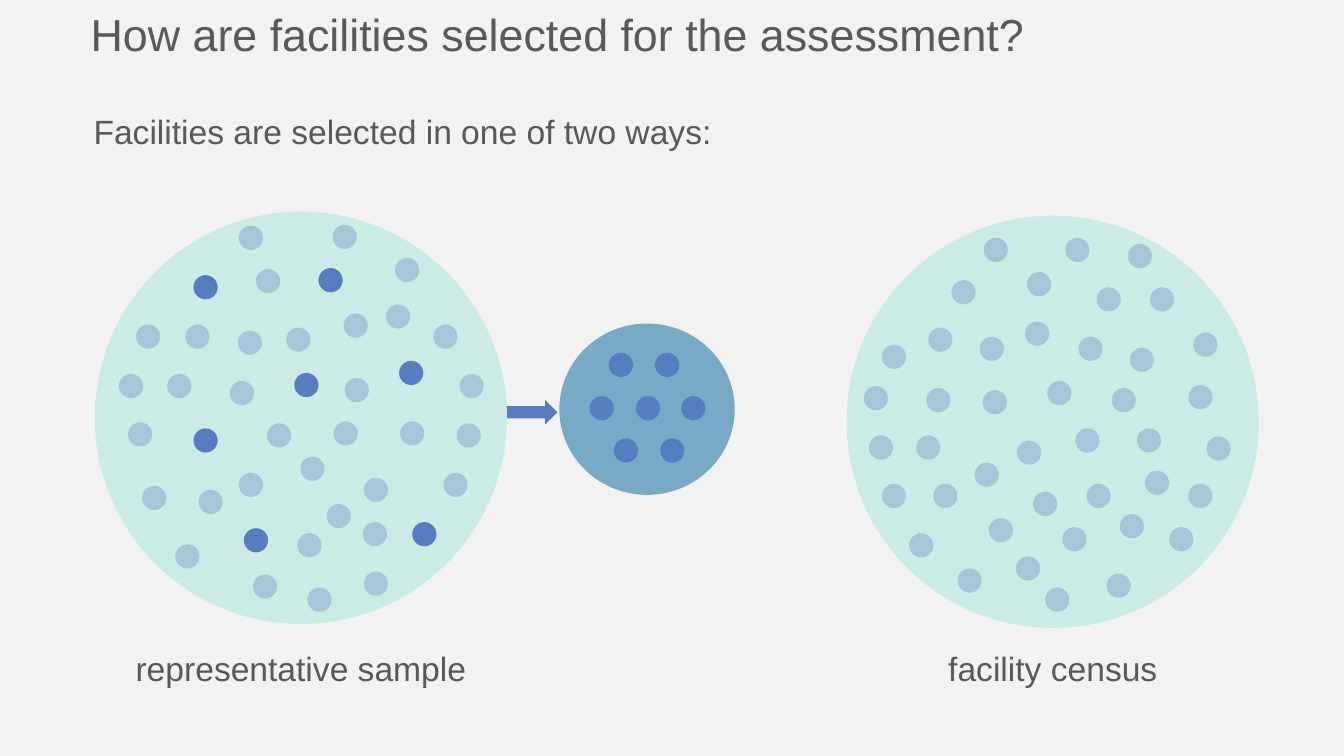
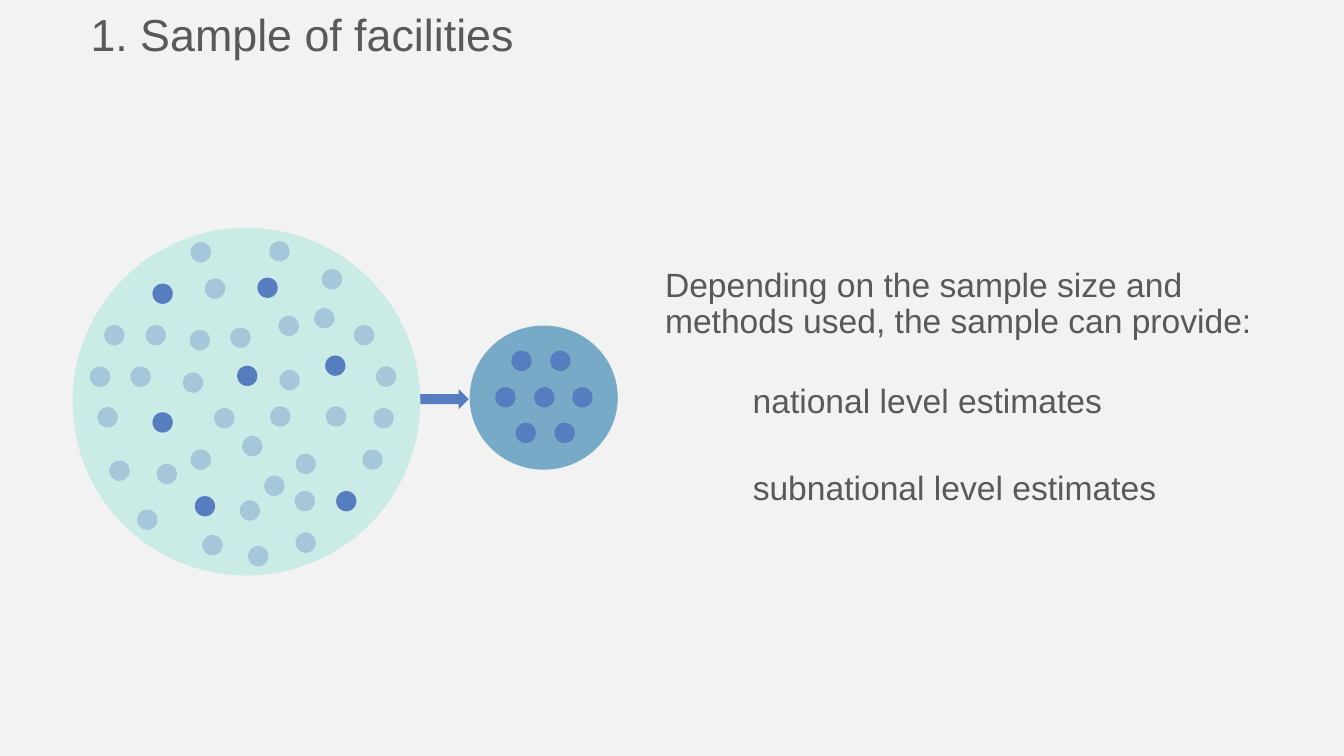
from pptx import Presentation
from pptx.dml.color import RGBColor
from pptx.enum.shapes import MSO_SHAPE
from pptx.enum.text import MSO_ANCHOR, PP_ALIGN
from pptx.util import Cm, Pt

OVAL, ARROW = MSO_SHAPE.OVAL, MSO_SHAPE.RIGHT_ARROW
TOP, MIDDLE = MSO_ANCHOR.TOP, MSO_ANCHOR.MIDDLE
LEFT, CENTER = PP_ALIGN.LEFT, PP_ALIGN.CENTER

COLORS = {
    "back": "F2F2F2",
    "text": "595959",
    "all": "CBEBE6",
    "sample": "77AAC6",
    "dot": "A6C7DA",
    "chosen": "557DBF",
}
STYLES = {
    "title": {"size": 32, "space": 1.0, "align": LEFT, "anchor": TOP},
    "body": {"size": 24, "space": 0.9, "align": LEFT, "anchor": TOP},
    "label": {"size": 24, "space": 0.9, "align": CENTER, "anchor": MIDDLE},
}

# Positions and sizes are in inches: (left, top) or (left, top, width, height).
DOT = 0.24
PLAIN = [
    (2.51, 5.7), (3.05, 5.83), (3.61, 5.67), (1.74, 5.4), (2.95, 5.29),
    (3.6, 5.18), (1.27, 4.19), (1.97, 4.86), (2.37, 4.69), (2.98, 4.53),
    (3.97, 4.18), (4.4, 4.69), (4.53, 4.2), (1.41, 4.82), (2.65, 4.2),
    (3.31, 4.18), (1.18, 3.71), (1.66, 3.71), (2.28, 3.78), (3.61, 4.74),
    (3.42, 3.75), (3.24, 5), (4.56, 3.71), (1.35, 3.22), (1.84, 3.22),
    (2.84, 3.25), (3.41, 3.11), (3.92, 2.56), (4.3, 3.22), (2.36, 3.28),
    (2.54, 2.67), (3.83, 3.02), (2.37, 2.24), (3.3, 2.23),
]
CHOSEN = [
    (2.42, 5.24), (4.09, 5.18), (1.92, 4.25), (3.96, 3.58), (2.92, 3.7),
    (1.92, 2.73), (3.16, 2.66),
]
SAMPLE = [
    (6.04, 3.5), (6.5, 3.5), (5.85, 3.93), (6.31, 3.93), (6.76, 3.93),
    (6.09, 4.35), (6.55, 4.35),
]
CENSUS = [
    (10.08, 5.52), (10.37, 5.83), (10.98, 5.69), (9.02, 5.29), (9.5, 5.64),
    (9.81, 5.14), (11.36, 4.67), (11.6, 5.23), (8.75, 4.8), (9.26, 4.8),
    (10.25, 4.88), (10.78, 4.8), (11.11, 5.1), (11.79, 4.8), (11.97, 4.33),
    (8.62, 4.32), (9.09, 4.32), (9.67, 4.59), (10.09, 4.37), (10.67, 4.25),
    (11.28, 4.25), (8.57, 3.83), (8.75, 3.42), (9.19, 3.85), (11.19, 2.42),
    (9.75, 3.87), (11.03, 3.85), (10.54, 5.23), (11.79, 3.82), (10.19, 2.7),
    (9.72, 3.34), (10.39, 3.78), (10.7, 3.34), (11.21, 3.45), (11.84, 3.3),
    (9.44, 2.78), (9.21, 3.25), (10.17, 3.19), (10.88, 2.85), (11.41, 2.85),
    (9.76, 2.36), (10.57, 2.36),
]
FACILITIES = [("dot", PLAIN), ("chosen", CHOSEN)]
FULL = (1, 0, 0)

# A cluster is a zoom (scale, right shift, down shift) and its dots by colour.
SLIDES = [
    {
        "texts": [
            ("title", (0.8, 0.02, 10.39, 0.64), "How are facilities selected for the assessment?"),
            ("label", (0.76, 6.24, 4.45, 0.83), "representative sample"),
            ("label", (8.22, 6.24, 4.45, 0.83), "facility census"),
            ("body", (0.83, 1.1, 10.57, 0.47), "Facilities are selected in one of two ways:"),
        ],
        "shapes": [
            (ARROW, (4.93, 3.97, 0.6, 0.24), "chosen"),
            (OVAL, (0.94, 2.1, 4.09, 4.09), "all"),
            (OVAL, (8.4, 2.14, 4.09, 4.09), "all"),
            (OVAL, (5.55, 3.21, 1.74, 1.7), "sample"),
        ],
        "clusters": [
            (FULL, FACILITIES),
            (FULL, [("chosen", SAMPLE)]),
            (FULL, [("dot", CENSUS)]),
        ],
    },
    {
        "texts": [
            ("title", (0.8, 0.02, 6.67, 0.64), "1. Sample of facilities"),
            ("body", (6.5, 2.61, 6.46, 0.83),
             "Depending on the sample size and methods used, the sample can provide:"),
            ("body", (7.37, 3.77, 5.46, 0.47), "national level estimates"),
            ("body", (7.37, 4.63, 5.41, 0.47), "subnational level estimates"),
        ],
        "shapes": [
            (ARROW, (3.37, 3.86, 1.28, 0.2), "chosen"),
            (OVAL, (0.72, 2.26, 3.45, 3.45), "all"),
            (OVAL, (4.66, 3.23, 1.47, 1.43), "sample"),
        ],
        "clusters": [
            ((0.84, -0.1, 0.52), FACILITIES),
            ((0.84, 0, 0.54), [("chosen", SAMPLE)]),
        ],
    },
]


def color(name):
    return RGBColor.from_string(COLORS[name])


def place(box):
    """Turn inches into lengths."""
    return [Cm(side * 2.54) for side in box]


def add_text(slide, style, box, words):
    look = STYLES[style]
    frame = slide.shapes.add_textbox(*place(box)).text_frame
    frame.word_wrap = True
    frame.vertical_anchor = look["anchor"]
    para = frame.paragraphs[0]
    para.text = words
    para.alignment = look["align"]
    para.line_spacing = look["space"]
    font = para.runs[0].font
    for key, value in {"name": "Arial", "size": Pt(look["size"])}.items():
        setattr(font, key, value)
    font.color.rgb = color("text")


def add_shape(shapes, kind, box, fill):
    shape = shapes.add_shape(kind, *place(box))
    shape.shadow.inherit = False
    shape.fill.solid()
    shape.fill.fore_color.rgb = color(fill)
    shape.line.fill.background()


def add_cluster(slide, zoom, layers):
    scale, right, down = zoom
    size = DOT * scale
    group = slide.shapes.add_group_shape()
    for fill, dots in layers:
        for x, y in dots:
            box = (x * scale + right, y * scale + down, size, size)
            add_shape(group.shapes, OVAL, box, fill)


def main():
    deck = Presentation()
    deck.slide_width, deck.slide_height = Cm(33.87), Cm(19.05)
    back = deck.slide_master.background.fill
    back.solid()
    back.fore_color.rgb = color("back")
    for page in SLIDES:
        slide = deck.slides.add_slide(deck.slide_layouts[6])
        for text in page["texts"]:
            add_text(slide, *text)
        for shape in page["shapes"]:
            add_shape(slide.shapes, *shape)
        for cluster in page["clusters"]:
            add_cluster(slide, *cluster)
    deck.save("out.pptx")


if __name__ == "__main__":
    main()
